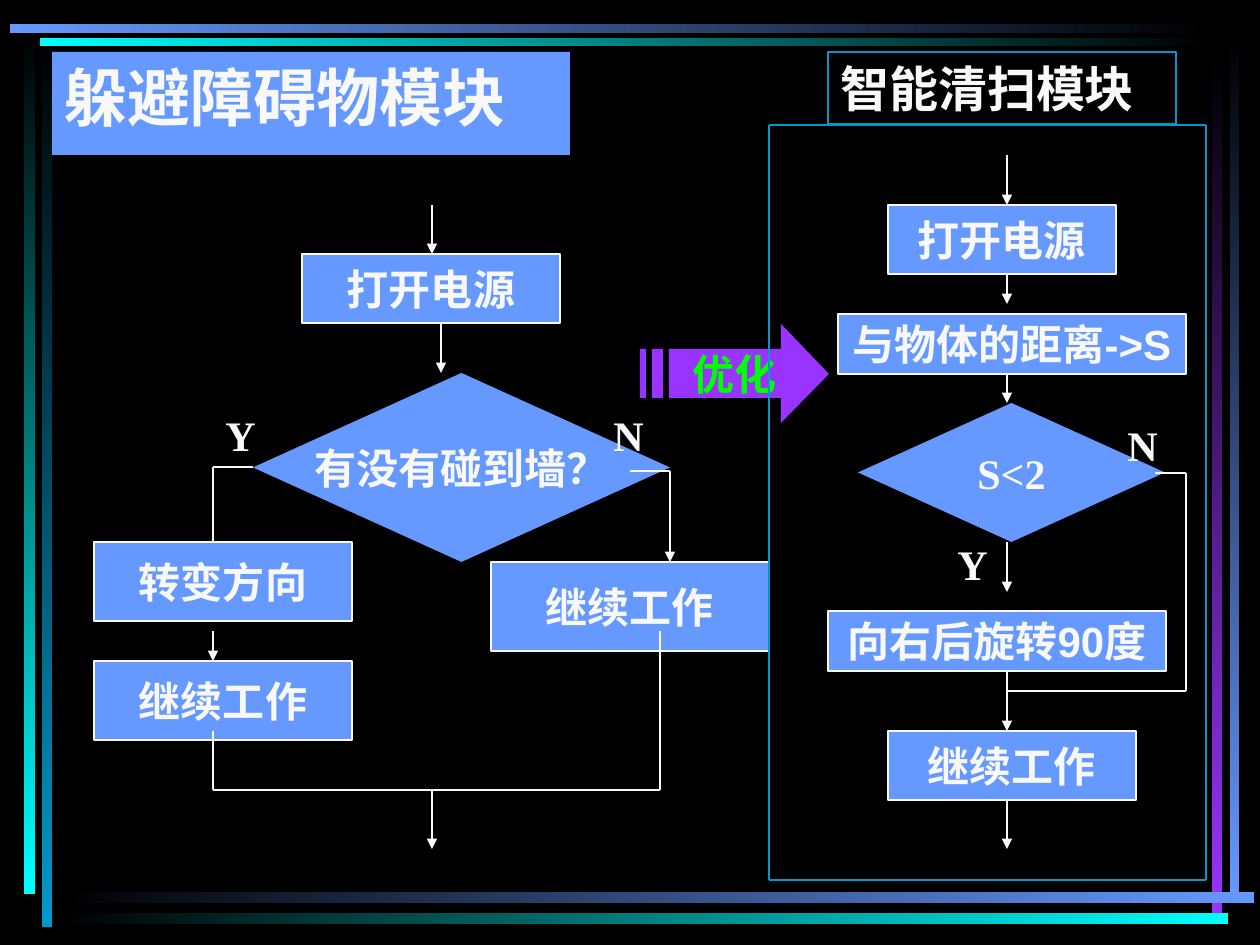
from itertools import pairwise

from pptx import Presentation
from pptx.dml.color import RGBColor
from pptx.enum.shapes import MSO_CONNECTOR as LINK, MSO_SHAPE as SHAPE
from pptx.enum.text import MSO_ANCHOR as ANCHOR, PP_ALIGN as ALIGN
from pptx.oxml.ns import qn
from pptx.util import Pt
from lxml.etree import SubElement

PX = 914400 / 126
BLACK, WHITE, BLUE, TEAL = "000000", "F8F8F8", "6699FF", "0099CC"
CYAN, PURPLE, GREEN = "00FFFF", "9933FF", "00FF00"
SERIF, SANS = "Times New Roman", "Arial"


def px(*lengths):
    return [round(length * PX) for length in lengths]


def color(hex_code):
    return RGBColor.from_string(hex_code)


def inside(box, x, y, *size):
    """Shift a place relative to box into slide px."""
    return px(box[0] + x, box[1] + y, *size)


def write(shape, text, face=SERIF, size=24, ink=WHITE, before=0,
          align=ALIGN.CENTER, anchor=ANCHOR.MIDDLE, wrap=False):
    frame = shape.text_frame
    frame.word_wrap, frame.vertical_anchor = wrap, anchor
    line = frame.paragraphs[0]
    line.alignment, line.space_before = align, Pt(before)
    run = line.add_run()
    run.text = text
    for name, value in {"name": face, "size": Pt(size), "bold": True}.items():
        setattr(run.font, name, value)
    run.font.color.rgb = color(ink)


def add_block(slide, place, kind=SHAPE.RECTANGLE, fill=BLUE, outline=None):
    block = slide.shapes.add_shape(kind, *place)
    block.shadow.inherit = False
    if fill:
        block.fill.solid()
        block.fill.fore_color.rgb = color(fill)
    else:
        block.fill.background()
    if outline:
        block.line.color.rgb = color(outline)
        block.line.width = Pt(0.75)
    else:
        block.line.fill.background()
    return block


def process(slide, box, place, text):
    step = add_block(slide, inside(box, *place), SHAPE.FLOWCHART_PROCESS, outline=WHITE)
    write(step, text, SANS)


def decision(slide, box, place, text):
    write(add_block(slide, inside(box, *place), SHAPE.FLOWCHART_DECISION), text)


def branch_label(slide, box, place, text):
    label = slide.shapes.add_textbox(*inside(box, *place))
    write(label, text, before=15, align=ALIGN.LEFT, anchor=ANCHOR.TOP, wrap=True)


def route(slide, box, *points, arrow=True, ink=WHITE):
    """Join the points with straight lines; the last may end in an arrowhead."""
    for start, end in pairwise(points):
        link = slide.shapes.add_connector(
            LINK.STRAIGHT, *inside(box, *start), *inside(box, *end))
        link.line.color.rgb = color(ink)
        link.line.width = Pt(0.75)
        outline = link.element.spPr.find(qn("a:ln"))
        if arrow and end == points[-1]:
            SubElement(outline, qn("a:tailEnd"), type="triangle")
        SubElement(link.element.spPr, qn("a:effectLst"))


def border_bars(slide):
    bars = [  # place, first colour, last colour
        ((42, 35, 10, 892), BLACK, TEAL), ((24, 32, 11, 862), BLACK, CYAN),
        ((1230, 30, 9, 873), BLACK, BLUE), ((1212, 53, 10, 860), BLACK, PURPLE),
        ((56, 892, 1198, 11), BLACK, BLUE), ((57, 913, 1171, 11), BLACK, CYAN),
        ((40, 38, 1174, 8), CYAN, BLACK), ((10, 24, 1204, 9), BLUE, BLACK),
    ]
    for place, *inks in bars:
        bar = add_block(slide, px(*place))
        bar.fill.gradient()
        bar.fill.gradient_angle = 270 if place[3] > place[2] else 0
        for stop, ink, position in zip(bar.fill.gradient_stops, inks, (0, 1)):
            stop.color.rgb = color(ink)
            stop.position = position


def heading(slide, box):
    title = slide.shapes.title
    title.left, title.top, title.width, title.height = px(*box)
    title.fill.solid()
    title.fill.fore_color.rgb = color(BLUE)
    write(title, "躲避障碍物模块", "Roboto", 36,
          align=ALIGN.LEFT, anchor=ANCHOR.TOP, wrap=True)


def obstacle_flow(slide, box):
    # Start and test
    process(slide, box, (208, 49, 258, 69), "打开电源")
    route(slide, box, (347, 118), (347, 168))
    route(slide, box, (338, 0), (338, 49))
    decision(slide, box, (159, 168, 417, 189), "有没有碰到墙？")
    # Both branches
    route(slide, box, (159, 262), (119, 262), (119, 347))
    branch_label(slide, box, (119, 198, 40, 63), "Y")
    process(slide, box, (0, 456, 258, 79), "继续工作")
    route(slide, box, (536, 266), (576, 266), (576, 357))
    branch_label(slide, box, (507, 198, 89, 63), "N")
    process(slide, box, (397, 357, 278, 89), "继续工作")
    process(slide, box, (0, 337, 258, 79), "转变方向")
    route(slide, box, (119, 426), (119, 456))
    # Branches meet and leave
    route(slide, box, (119, 526), (119, 585), (566, 585), (566, 426), arrow=False)
    route(slide, box, (338, 585), (338, 644))


def optimise_arrow(slide, box):
    head, *stripes = [
        [(29, 25), (141, 25), (141, 0), (189, 50), (141, 99), (141, 74), (29, 74)],
        [(0, 25), (6, 25), (6, 74), (0, 74)],
        [(12, 25), (23, 25), (23, 74), (12, 74)],
    ]
    outline = slide.shapes.build_freeform(*head[0], scale=PX)
    outline.add_line_segments(head[1:], close=True)
    for stripe in stripes:
        outline.move_to(*stripe[0])
        outline.add_line_segments(stripe[1:], close=True)
    arrow = outline.convert_to_shape(*px(*box))
    arrow.shadow.inherit = False
    arrow.fill.solid()
    arrow.fill.fore_color.rgb = color(PURPLE)
    arrow.line.fill.background()
    write(arrow, "优化", ink=GREEN)


def cleaning_flow(slide, box):
    width, height = box[2:]
    top, axis = 73, 238
    # Frame and caption
    route(slide, box, (0, top), (width, top), (width, height), (0, height), (0, top),
          arrow=False, ink=TEAL)
    caption = add_block(slide, inside(box, 59, 0, 348, 72), fill=None, outline=TEAL)
    write(caption, "智能清扫模块", size=28, before=17.5,
          align=ALIGN.LEFT, anchor=ANCHOR.TOP, wrap=True)
    # Steps along the axis
    for start, end in [(103, 153), (222, 252), (322, 351),
                       (490, 540), (619, 679), (748, 797)]:
        route(slide, box, (axis, start), (axis, end))
    for place, text in [((119, 153, 228, 69), "打开电源"),
                        ((69, 262, 348, 60), "与物体的距离->S"),
                        ((59, 559, 338, 60), "向右后旋转90度"),
                        ((119, 679, 248, 69), "继续工作")]:
        process(slide, box, place, text)
    decision(slide, box, (89, 351, 307, 139), "S<2")
    # Bypass and branch labels
    route(slide, box, (386, 421), (417, 421), (417, 639), (axis, 639), arrow=False)
    branch_label(slide, box, (176, 480, 53, 63), "Y")
    branch_label(slide, box, (346, 361, 62, 63), "N")


def main():
    deck = Presentation()
    deck.slide_width, deck.slide_height = px(1260, 945)
    slide = deck.slides.add_slide(deck.slide_layouts[5])
    slide.background.fill.solid()
    slide.background.fill.fore_color.rgb = color(BLACK)
    border_bars(slide)
    heading(slide, (52, 52, 518, 103))
    obstacle_flow(slide, (94, 205))
    optimise_arrow(slide, (640, 324))
    cleaning_flow(slide, (769, 52, 437, 828))
    deck.save("out.pptx")


if __name__ == "__main__":
    main()
